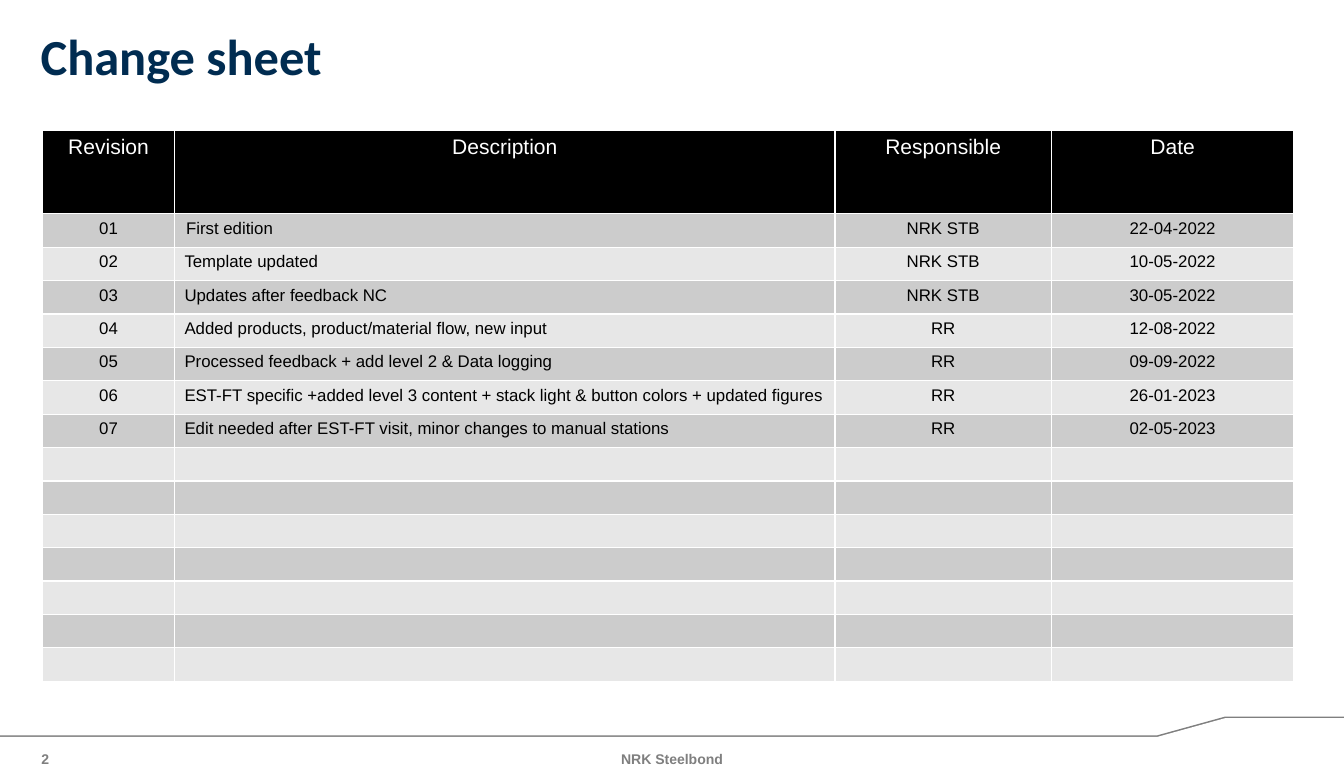
from lxml import etree
from pptx import Presentation
from pptx.dml.color import RGBColor
from pptx.enum.text import MSO_ANCHOR, MSO_AUTO_SIZE, PP_ALIGN
from pptx.oxml.ns import qn
from pptx.util import Cm, Pt

LEFT, CENTER = PP_ALIGN.LEFT, PP_ALIGN.CENTER
MIDDLE = MSO_ANCHOR.MIDDLE
NO_AUTOFIT = MSO_AUTO_SIZE.NONE
TITLE_ONLY = 5

WIDTH, HEIGHT = 33.8, 19.7
NAVY, GREY, WHITE, BLACK = "002C51", "7F7F7F", "FFFFFF", "000000"
DARK_BAND, LIGHT_BAND = "CCCCCC", "E7E7E7"

HEADINGS = ["Revision", "Description", "Responsible", "Date"]
COLUMN_WIDTHS = [3.32, 16.61, 5.44, 6.1]
HEADING_HEIGHT, ROW_HEIGHT = 2.1, 0.84
REVISION_ROWS = 14
REVISIONS = [
    ("First edition", "NRK STB", "22-04-2022"),
    ("Template updated", "NRK STB", "10-05-2022"),
    ("Updates after feedback NC", "NRK STB", "30-05-2022"),
    ("Added products, product/material flow, new input", "RR", "12-08-2022"),
    ("Processed feedback + add level 2 & Data logging", "RR", "09-09-2022"),
    ("EST-FT specific +added level 3 content + stack light & button colors"
     " + updated figures", "RR", "26-01-2023"),
    ("Edit needed after EST-FT visit, minor changes to manual stations",
     "RR", "02-05-2023"),
]


def rgb(value):
    return RGBColor.from_string(value)


class SlideBuilder:
    """Holds the type style and the current slide."""

    font = "Arial"

    def __init__(self, slide):
        self.slide = slide

    def style(self, paragraph, size, color, bold=False, align=LEFT, font=None):
        paragraph.alignment = align
        paragraph.font.name = font or self.font
        paragraph.font.size = Pt(size)
        paragraph.font.bold = bold
        paragraph.font.color.rgb = rgb(color)

    def frame(self, shape, text, top_inset=0):
        frame = shape.text_frame
        frame.word_wrap = True
        frame.auto_size = NO_AUTOFIT
        frame.vertical_anchor = MIDDLE
        frame.margin_left = frame.margin_right = frame.margin_bottom = 0
        frame.margin_top = Cm(top_inset)
        frame.text = text
        return frame.paragraphs[0]

    def title(self, text, left, top, width, height):
        heading = self.slide.shapes.title
        heading.left, heading.top = Cm(left), Cm(top)
        heading.width, heading.height = Cm(width), Cm(height)
        line = self.frame(heading, text, top_inset=0.13)
        line.line_spacing = 0.9
        self.style(line, 36, NAVY, bold=True, font="Calibri")

    def text(self, text, left, top, width, height, align=LEFT):
        box = self.slide.shapes.add_textbox(Cm(left), Cm(top), Cm(width), Cm(height))
        self.style(self.frame(box, text), 10, GREY, bold=True, align=align)

    def outline(self, points, color):
        start, *rest = [(Cm(x), Cm(y)) for x, y in points]
        builder = self.slide.shapes.build_freeform(*start)
        builder.add_line_segments(rest, close=True)
        shape = builder.convert_to_shape()
        shape.shadow.inherit = False
        shape.fill.solid()
        shape.fill.fore_color.rgb = rgb(color)
        shape.line.fill.background()

    def table(self, rows, left, top, widths, heights):
        table = self.slide.shapes.add_table(
            len(rows), len(widths), Cm(left), Cm(top),
            Cm(sum(widths)), Cm(sum(heights))).table
        table.horz_banding = False
        for column, width in zip(table.columns, widths):
            column.width = Cm(width)
        for row, height in zip(table.rows, heights):
            row.height = Cm(height)
        for r, texts in enumerate(rows):
            for c, text in enumerate(texts):
                self.cell(table.cell(r, c), text, r, c)
        # The first description is set in slightly further
        table.cell(1, 1).margin_left = Cm(0.29)

    def cell(self, cell, text, row, column):
        heading = row == 0
        band = DARK_BAND if row % 2 else LIGHT_BAND
        cell.fill.solid()
        cell.fill.fore_color.rgb = rgb(BLACK if heading else band)
        cell.margin_left = cell.margin_right = Cm(0.25)
        cell.margin_top = cell.margin_bottom = Cm(0.13)
        self.borders(cell)
        line = cell.text_frame.paragraphs[0]
        line.text = text
        size = 15 if heading else 12
        align = LEFT if column == 1 and not heading else CENTER
        self.style(line, size, WHITE if heading else BLACK, align=align)
        if not text:
            # Keeps an empty row from growing to the default text size
            etree.SubElement(line._p, qn("a:endParaRPr"), sz=str(size * 100))

    def borders(self, cell):
        properties = cell._tc.get_or_add_tcPr()
        for index, side in enumerate(["a:lnL", "a:lnR", "a:lnT", "a:lnB"]):
            edge = etree.Element(qn(side), w=str(Pt(1)))
            fill = etree.SubElement(edge, qn("a:solidFill"))
            etree.SubElement(fill, qn("a:srgbClr"), val=WHITE)
            properties.insert(index, edge)


def main():
    deck = Presentation()
    deck.slide_width, deck.slide_height = Cm(WIDTH), Cm(HEIGHT)
    page = SlideBuilder(deck.slides.add_slide(deck.slide_layouts[TITLE_ONLY]))

    # Footer rule: a white band laid just below a grey one
    band = [(WIDTH, 18.03), (30.81, 18.03), (29.11, 18.5), (0, 18.5),
            (0, 19.66), (WIDTH, 19.66)]
    for color, drop in [(GREY, 0), (WHITE, 0.04)]:
        page.outline([(x, y + drop) for x, y in band], color)

    # Footer texts
    page.text("NRK Steelbond", 11.2, 18.83, 11.4, 0.51, CENTER)
    page.text("2", 1.04, 18.83, 0.86, 0.51)

    # Title
    page.title("Change sheet", 1.02, 1.02, 31.75, 0.79)

    # Revision table, with blank rows left for later entries
    filled = [(f"{number:02}", *entry) for number, entry in enumerate(REVISIONS, 1)]
    blank = [("",) * len(HEADINGS)] * (REVISION_ROWS - len(filled))
    heights = [HEADING_HEIGHT] + [ROW_HEIGHT] * REVISION_ROWS
    page.table([HEADINGS, *filled, *blank], 1.07, 3.28, COLUMN_WIDTHS, heights)

    deck.save("out.pptx")


if __name__ == "__main__":
    main()
